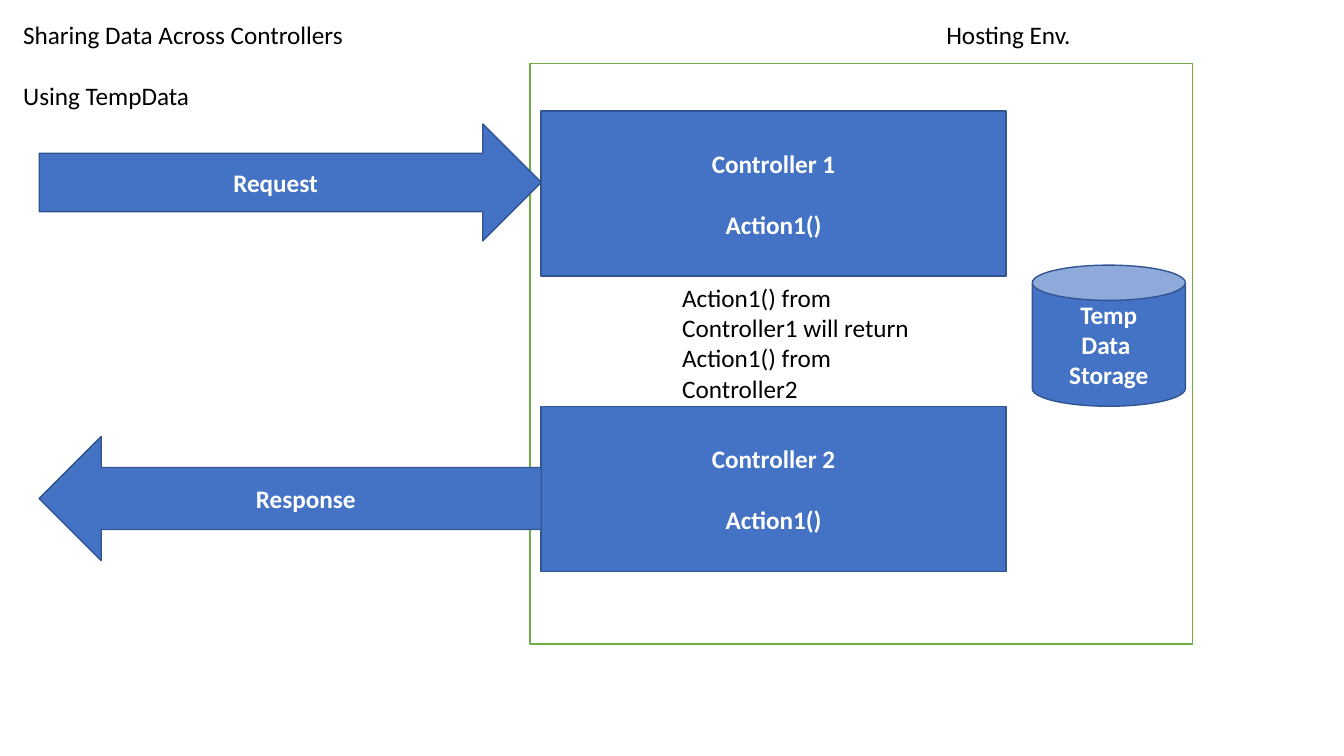
from dataclasses import dataclass

from pptx import Presentation
from pptx.dml.color import RGBColor
from pptx.enum.shapes import MSO_SHAPE
from pptx.enum.text import MSO_ANCHOR, MSO_AUTO_SIZE, PP_ALIGN
from pptx.util import Pt

RECT, CAN = MSO_SHAPE.RECTANGLE, MSO_SHAPE.CAN
RIGHT_ARROW, LEFT_ARROW = MSO_SHAPE.RIGHT_ARROW, MSO_SHAPE.LEFT_ARROW
CENTER, LEFT = PP_ALIGN.CENTER, PP_ALIGN.LEFT
MIDDLE, TOP = MSO_ANCHOR.MIDDLE, MSO_ANCHOR.TOP
GROW = MSO_AUTO_SIZE.SHAPE_TO_FIT_TEXT


@dataclass(frozen=True)
class Theme:
    """Colours, font and sizes of the slide."""
    white: RGBColor = RGBColor.from_string("FFFFFF")
    black: RGBColor = RGBColor.from_string("000000")
    blue: RGBColor = RGBColor.from_string("4472C4")
    navy: RGBColor = RGBColor.from_string("325491")
    green: RGBColor = RGBColor.from_string("70AD47")
    font: str = "Calibri"
    size: int = 18
    line: int = 1
    gap: int = 22


THEME = Theme()


def set_attrs(obj, values):
    """Set each named attribute on an object."""
    for name, value in values.items():
        setattr(obj, name, value)


def write(tf, lines, color, bold, align, gap=0):
    """Write one paragraph per line, with a gap between paragraphs."""
    for i, line in enumerate(lines):
        p = tf.add_paragraph() if i else tf.paragraphs[0]
        p.alignment = align
        if i and gap:
            p.space_before = Pt(gap)
        r = p.add_run()
        r.text = line
        set_attrs(r.font, {"name": THEME.font, "size": Pt(THEME.size), "bold": bold})
        r.font.color.rgb = color


def add_block(s, kind, box, lines=(), gap=0, fill=THEME.blue, line=THEME.navy):
    """Add a filled, outlined shape with centred bold text."""
    sp = s.shapes.add_shape(kind, *map(Pt, box))
    sp.shadow.inherit = False
    sp.fill.solid()
    sp.fill.fore_color.rgb = fill
    sp.line.color.rgb = line
    sp.line.width = Pt(THEME.line)
    set_attrs(sp.text_frame, {"word_wrap": True, "vertical_anchor": MIDDLE})
    write(sp.text_frame, lines, THEME.white, True, CENTER, gap)


def add_label(s, box, lines, gap=0):
    """Add a plain text box."""
    tf = s.shapes.add_textbox(*map(Pt, box)).text_frame
    set_attrs(tf, {"word_wrap": True, "auto_size": GROW, "vertical_anchor": TOP})
    write(tf, lines, THEME.black, False, LEFT, gap)


def main():
    """Build the slide and save it."""
    prs = Presentation()
    set_attrs(prs, {"slide_width": Pt(960), "slide_height": Pt(540)})
    s = prs.slides.add_slide(prs.slide_layouts[6])

    add_block(s, RECT, (378.7, 45.4, 473, 414.7), fill=THEME.white, line=THEME.green)
    for number, top in ((1, 79.2), (2, 290.2)):
        add_block(s, RECT, (386.6, top, 332, 118),
                  (f"Controller {number}", "Action1()"), THEME.gap)
    add_block(s, RIGHT_ARROW, (28, 88.6, 358.6, 83.5), ("Request",))
    add_label(s, (480.2, 198, 178.6, 94.3),
              ("Action1() from Controller1 will return Action1() from Controller2",))
    add_block(s, LEFT_ARROW, (28, 311.8, 358.6, 88.6), ("Response",))
    add_label(s, (668.9, 10, 110.9, 29), ("Hosting Env.",))
    add_label(s, (9.4, 10, 287.3, 72.7),
              ("Sharing Data Across Controllers", "Using TempData"), THEME.gap)
    add_block(s, CAN, (737.3, 189.4, 109.4, 100.8), ("Temp", "Data ", "Storage"))

    prs.save("out.pptx")


if __name__ == "__main__":
    main()
